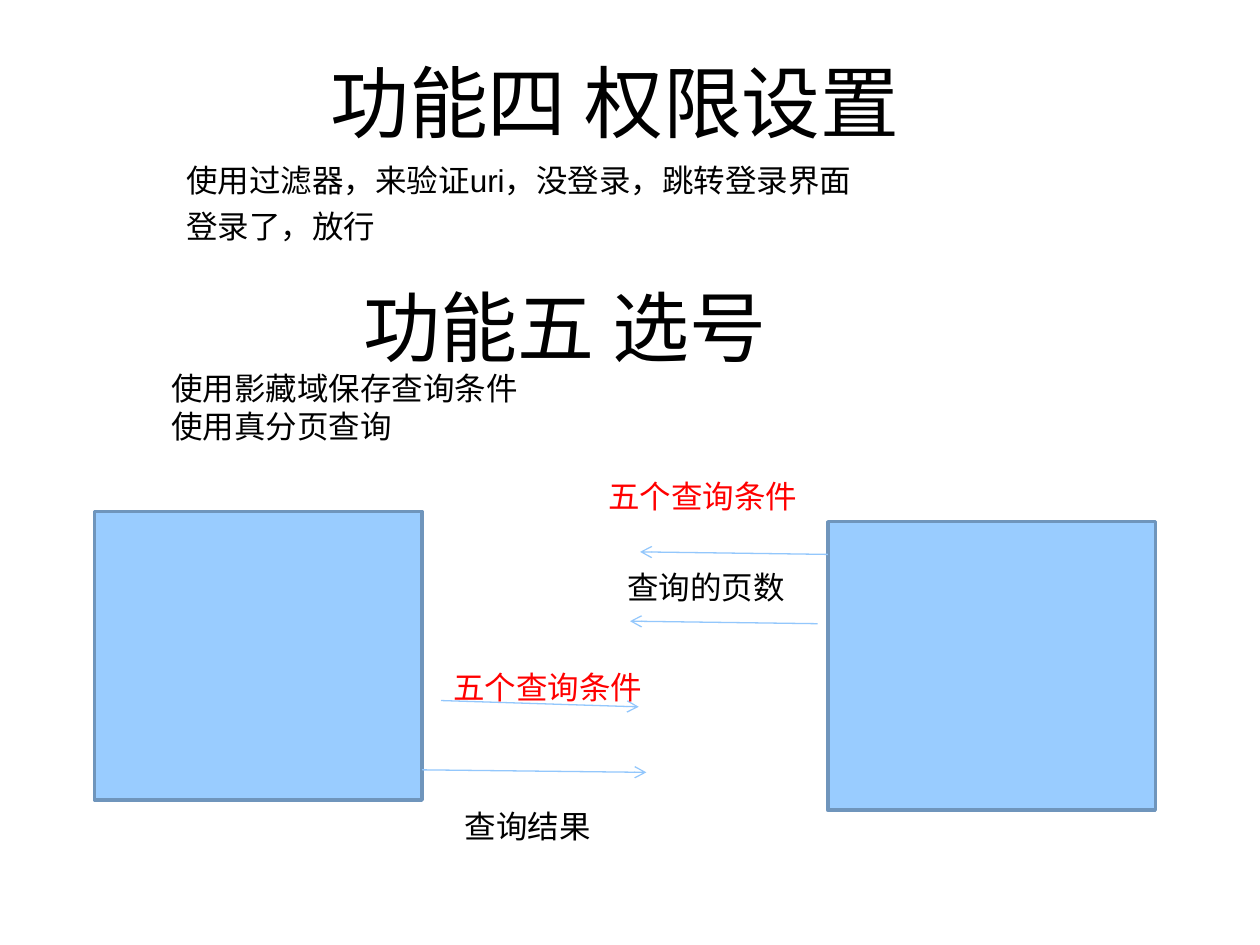
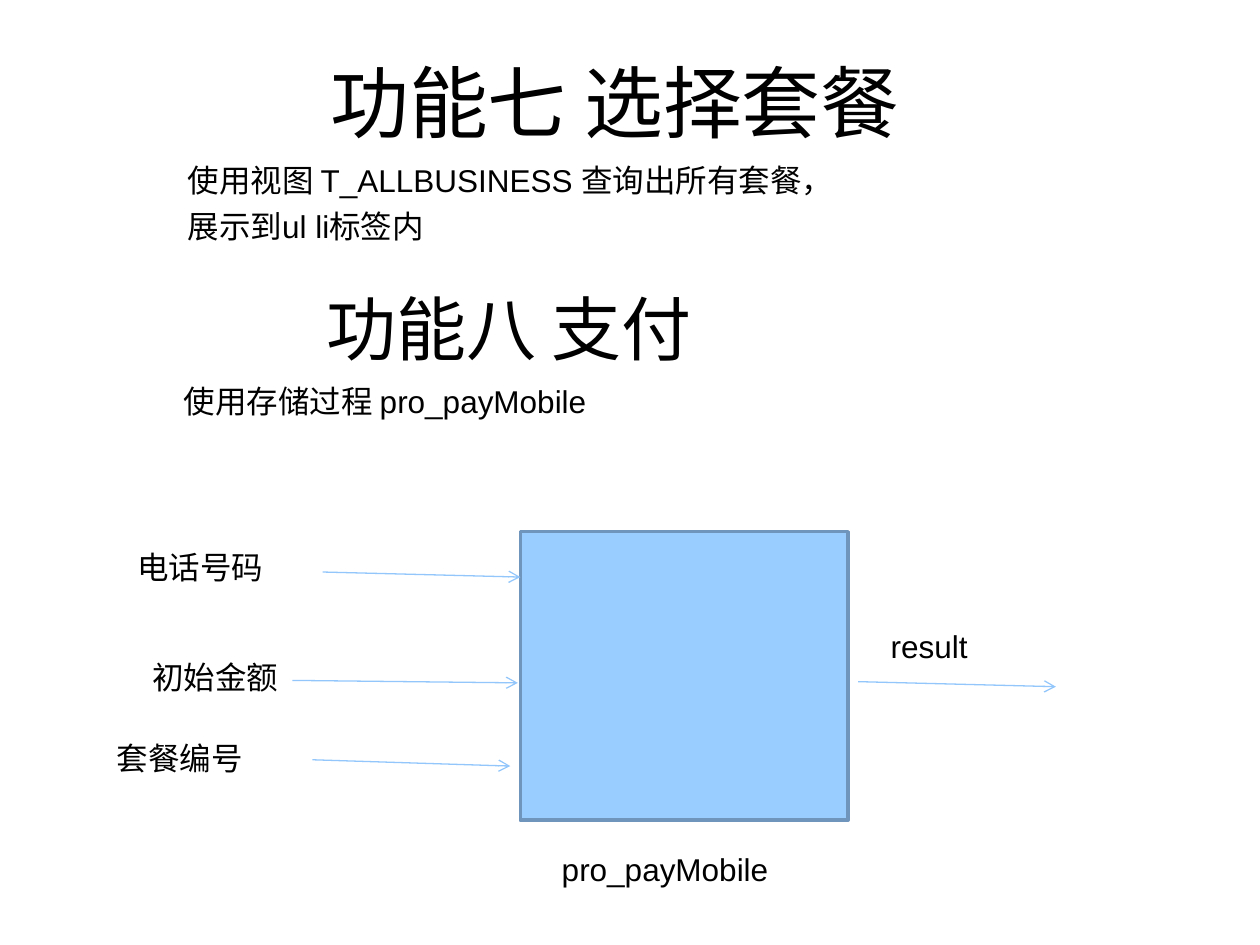
from dataclasses import dataclass

from lxml import etree
from pptx import Presentation
from pptx.dml.color import RGBColor
from pptx.enum.shapes import MSO_CONNECTOR, MSO_SHAPE
from pptx.enum.text import MSO_ANCHOR, MSO_AUTO_SIZE, PP_ALIGN
from pptx.oxml.ns import qn
from pptx.util import Inches, Pt

LEFT, MID = PP_ALIGN.LEFT, PP_ALIGN.CENTER
TOP, LOW = MSO_ANCHOR.TOP, MSO_ANCHOR.BOTTOM
FIXED = MSO_AUTO_SIZE.NONE
RECT, LINE = MSO_SHAPE.RECTANGLE, MSO_CONNECTOR.STRAIGHT


@dataclass(frozen=True)
class Theme:
    font: str = "Arial"
    ink: RGBColor = RGBColor(0, 0, 0)
    red: RGBColor = RGBColor(255, 0, 0)
    fill: RGBColor = RGBColor(0x99, 0xCC, 0xFF)
    edge: RGBColor = RGBColor(0x6F, 0x95, 0xBC)
    arrow: RGBColor = RGBColor(0x93, 0xC7, 0xFC)
    title: int = 45
    text: int = 18


theme = Theme()
BOX_W, BOX_H = 2.6, 2.29
LABEL_H = 0.4


def write(shape, lines, size=theme.text, color=theme.ink, align=LEFT, gap=0, anchor=TOP):
    """Fill a shape with one paragraph for each line."""
    frame = shape.text_frame
    frame.word_wrap = True
    frame.auto_size = FIXED
    frame.vertical_anchor = anchor
    for i, line in enumerate(lines):
        para = frame.add_paragraph() if i else frame.paragraphs[0]
        para.alignment = align
        para.space_before = Pt(gap)
        run = para.add_run()
        run.text = line
        run.font.name = theme.font
        run.font.size = Pt(size)
        run.font.color.rgb = color


def place(slide, left, top, width, height):
    return slide.shapes.add_textbox(Inches(left), Inches(top), Inches(width), Inches(height))


# Each head: place, text, size, alignment. Each label: left, top, width, text, colour.
pages = [
    dict(
        title="功能四 权限设置",
        intro=(1.38, ["使用过滤器，来验证uri，没登录，跳转登录界面", "登录了，放行"]),
        head=((0.91, 2.17, 7.15, 0.84), "功能五 选号", 44, MID),
        note=((1.26, 2.88, 8.15, 0.7), ["使用影藏域保存查询条件", "使用真分页查询"]),
        boxes=[(6.57, 4.14), (0.75, 4.06)],
        arrows=[
            (3.5, 5.56, 5.07, 5.61),
            (3.35, 6.11, 5.13, 6.13),
            (6.57, 4.4, 5.08, 4.38),
            (6.49, 4.95, 5, 4.93),
        ],
        labels=[
            (4.73, 3.74, 1.84, "五个查询条件", theme.red),
            (4.88, 4.46, 1.59, "查询的页数", theme.ink),
            (3.5, 5.25, 1.88, "五个查询条件", theme.red),
            (3.59, 6.36, 1.89, "查询结果", theme.ink),
        ],
    ),
    dict(
        title="功能七 选择套餐",
        intro=(1.39, ["使用视图 T_ALLBUSINESS 查询出所有套餐，", "展示到ul li标签内"]),
        head=((2.49, 2.22, 5.69, 0.77), "功能八 支付", 40, LEFT),
        note=((1.36, 2.98, 7.03, 0.4), ["使用存储过程 pro_payMobile"]),
        boxes=[(4.13, 4.22)],
        arrows=[
            (2.56, 4.54, 4.13, 4.58),
            (2.32, 5.4, 4.11, 5.42),
            (6.81, 5.41, 8.38, 5.45),
            (2.48, 6.03, 4.05, 6.08),
        ],
        labels=[
            (4.36, 6.7, 2.69, "pro_payMobile", theme.ink),
            (0.99, 4.3, 1.7, "电话号码", theme.ink),
            (1.11, 5.17, 1.25, "初始金额", theme.ink),
            (6.97, 4.93, 2.8, "result", theme.ink),
            (0.83, 5.82, 1.65, "套餐编号", theme.ink),
        ],
    ),
]

deck = Presentation()
deck.slide_width, deck.slide_height = Inches(10), Inches(7.5)
layout = deck.slide_layouts.get_by_name("Title Only")

for page in pages:
    slide = deck.slides.add_slide(layout)
    title = slide.shapes.title
    title.left, title.top = Inches(0.45), Inches(0.53)
    title.width, title.height = Inches(8.86), Inches(0.7)
    write(title, [page["title"]], theme.title, align=MID, anchor=LOW)

    left, lines = page["intro"]
    write(place(slide, left, 1.23, 7.92, 5.35), lines, gap=4.5)

    for x, y in page["boxes"]:
        box = slide.shapes.add_shape(RECT, Inches(x), Inches(y), Inches(BOX_W), Inches(BOX_H))
        box.shadow.inherit = False
        box.fill.solid()
        box.fill.fore_color.rgb = theme.fill
        box.line.color.rgb = theme.edge
        box.line.width = Pt(2)

    for ends in page["arrows"]:
        arrow = slide.shapes.add_connector(LINE, *map(Inches, ends))
        arrow.line.color.rgb = theme.arrow
        arrow.line.width = Pt(0.75)
        etree.SubElement(arrow.line._get_or_add_ln(), qn("a:tailEnd"), type="arrow")
        etree.SubElement(arrow._element.spPr, qn("a:effectLst"))

    area, text, size, align = page["head"]
    write(place(slide, *area), [text], size, align=align)

    area, lines = page["note"]
    write(place(slide, *area), lines)

    for x, y, width, text, color in page["labels"]:
        write(place(slide, x, y, width, LABEL_H), [text], color=color)

deck.save("out.pptx")
